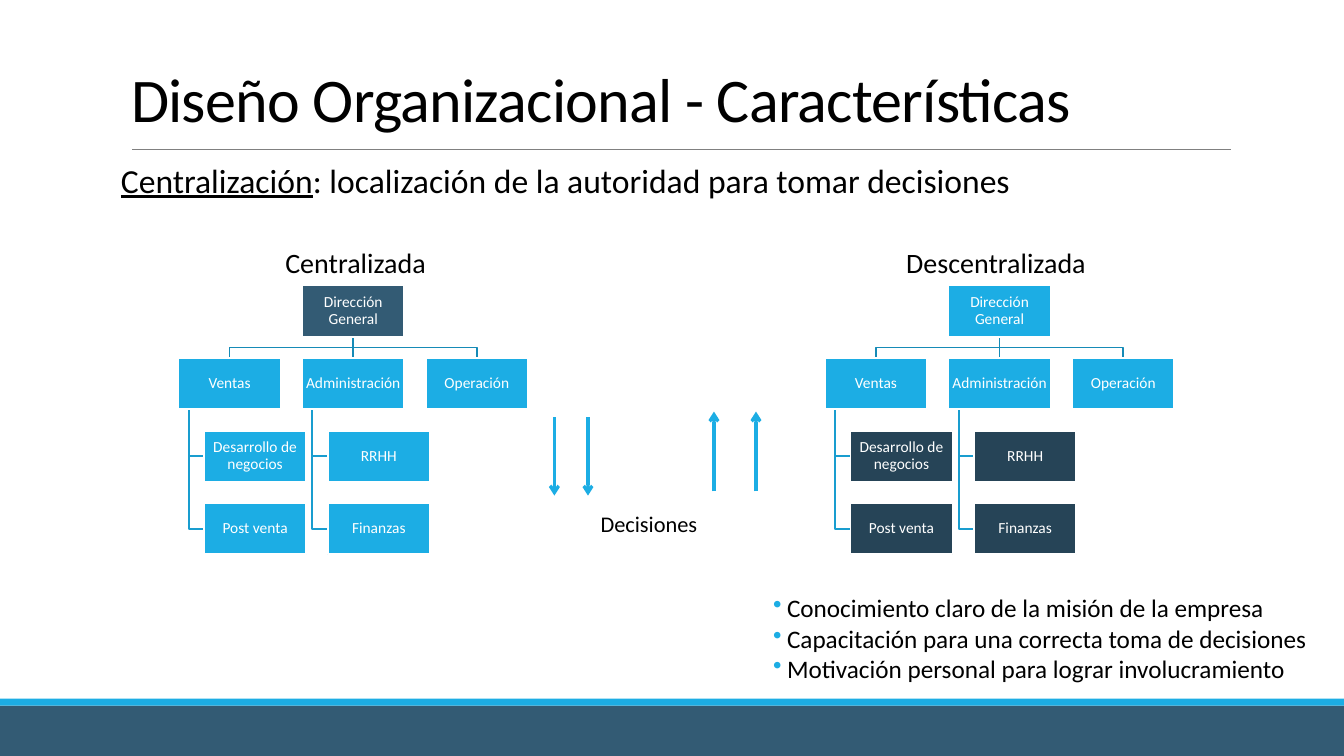
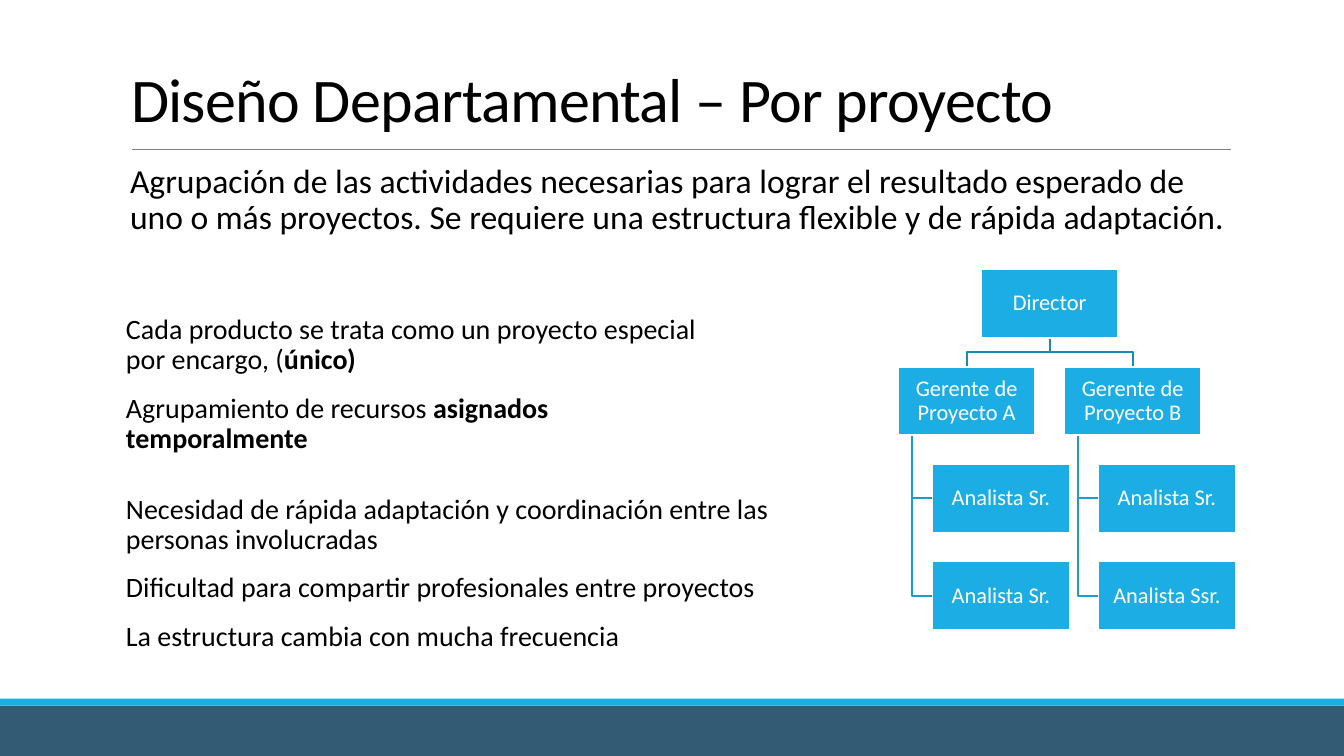
"""Build two slides on organisational design, with org charts drawn by rule."""
from dataclasses import dataclass

from lxml.etree import SubElement
from pptx import Presentation
from pptx.dml.color import RGBColor
from pptx.enum.shapes import MSO_CONNECTOR, MSO_SHAPE
from pptx.enum.text import MSO_ANCHOR as Anchor, MSO_AUTO_SIZE as AutoSize, PP_ALIGN as Align
from pptx.oxml.ns import qn
from pptx.util import Pt


@dataclass(frozen=True)
class Theme:
    font: str = "Calibri"
    text: str = "000000"
    white: str = "FFFFFF"
    accent: str = "1CADE4"
    navy: str = "335B74"
    dark: str = "264457"
    rule: str = "808080"
    trunk: str = "168BB7"
    branch: str = "199DCF"
    title: float = 44.3
    lead: float = 24
    large: float = 20
    medium: float = 18
    small: float = 16
    tiny: float = 11


THEME = Theme()
SLIDE_SIZE = (960, 540)
TITLE_BOX = (86.4, 22.3, 792, 77.8)
BANDS = [((0, 504, 960, 36), THEME.navy), ((0, 499, 960, 5), THEME.accent)]
TITLE_RULE = ((94.5, 106.5), (879, 106.5))

DEPARTMENTS = [
    ("Ventas", ["Desarrollo de negocios", "Post venta"]),
    ("Administración", ["RRHH", "Finanzas"]),
    ("Operación", []),
]
PROJECTS = [
    ("Gerente de Proyecto A", ["Analista Sr.", "Analista Sr."]),
    ("Gerente de Proyecto B", ["Analista Sr.", "Analista Ssr."]),
]

SLIDES = [
    {
        "title": "Diseño Organizacional - Características",
        "body": [[("Centralización", "u"), (": localización de la autoridad para tomar decisiones", "")]],
        "body_box": (86.4, 113.8, 792, 42.5),
        "body_indent": 0,
        "charts": [
            {"root": "Dirección General", "managers": DEPARTMENTS, "at": (127.5, 204), "box": 73,
             "size": THEME.tiny, "fills": (THEME.navy, THEME.accent, THEME.accent)},
            {"root": "Dirección General", "managers": DEPARTMENTS, "at": (589.2, 204), "box": 73,
             "size": THEME.tiny, "fills": (THEME.accent, THEME.accent, THEME.dark)},
        ],
        "texts": [
            ((429, 363, 99, 21), THEME.small, ["Decisiones"]),
            ((203.8, 174.2, 139, 42.5), THEME.large, ["Centralizada"]),
            ((647.3, 174.2, 139, 42.5), THEME.large, ["Descentralizada"]),
        ],
        "bullets": ((552.2, 419.8, 407.8, 77.8), [
            "Conocimiento claro de la misión de la empresa",
            "Capacitación para una correcta toma de decisiones",
            "Motivación personal para lograr involucramiento",
        ]),
        "arrows": [(396, 298, 354), (420, 298, 354), (510, 351, 294), (540, 351, 294)],
    },
    {
        "title": "Diseño Departamental – Por proyecto",
        "body": ["Agrupación de las actividades necesarias para lograr el resultado esperado de "
                 "uno o más proyectos. Se requiere una estructura flexible y de rápida adaptación."],
        "body_box": (86.4, 113.8, 792, 102),
        "body_indent": 6.5,
        "charts": [
            {"root": "Director", "managers": PROJECTS, "at": (641.5, 192.3), "box": 98,
             "size": THEME.small, "fills": (THEME.accent,) * 3},
        ],
        "texts": [
            ((90, 221.8, 420, 82), THEME.large, [
                [("Cada producto se trata como un proyecto especial por encargo, (", ""), ("único)", "b")],
                [("Agrupamiento de recursos ", ""), ("asignados temporalmente", "b")],
            ]),
            ((90, 350, 498, 82), THEME.large, [
                "Necesidad de rápida adaptación y coordinación entre las personas involucradas",
                "Dificultad para compartir profesionales entre proyectos",
                "La estructura cambia con mucha frecuencia",
            ]),
        ],
    },
]


def points(values):
    return [Pt(value) for value in values]


def place(shape, box):
    shape.left, shape.top, shape.width, shape.height = points(box)


def write(frame, paragraphs, size, color=THEME.text, align=Align.LEFT, anchor=Anchor.TOP,
          insets=(0, 3.6), spacing=0.9, around=(11.1, 1.9), indent=0, bullet=None, tracking=0):
    frame.word_wrap = True
    frame.auto_size = AutoSize.NONE
    frame.vertical_anchor = anchor
    frame.margin_left = frame.margin_right = Pt(insets[0])
    frame.margin_top = frame.margin_bottom = Pt(insets[1])
    for index, content in enumerate(paragraphs):
        paragraph = frame.add_paragraph() if index else frame.paragraphs[0]
        properties = paragraph._p.get_or_add_pPr()
        properties.set("marL", str(Pt(indent)))
        properties.set("indent", str(-Pt(indent) if bullet else 0))
        if bullet:
            bullet_color = SubElement(properties, qn("a:buClr"))
            SubElement(bullet_color, qn("a:srgbClr"), val=THEME.accent)
            SubElement(properties, qn("a:buChar"), char=bullet)
        else:
            SubElement(properties, qn("a:buNone"))
        paragraph.alignment = align
        paragraph.line_spacing = spacing
        paragraph.space_before, paragraph.space_after = points(around)
        paragraph.font.name = THEME.font
        paragraph.font.size = Pt(size)
        paragraph.font.color.rgb = RGBColor.from_string(color)
        if tracking:
            properties.get_or_add_defRPr().set("spc", str(round(tracking * 100)))
        for text, style in [(content, "")] if isinstance(content, str) else content:
            run = paragraph.add_run()
            run.text = text
            if style == "b":
                run.font.bold = True
            elif style == "u":
                run.font.underline = True


def add_text(slide, box, *content, **style):
    write(slide.shapes.add_textbox(*points(box)).text_frame, *content, **style)


def add_box(slide, box, fill, outline=None):
    shape = slide.shapes.add_shape(MSO_SHAPE.RECTANGLE, *points(box))
    shape.shadow.inherit = False
    shape.fill.solid()
    shape.fill.fore_color.rgb = RGBColor.from_string(fill)
    if outline:
        shape.line.color.rgb = RGBColor.from_string(outline)
        shape.line.width = Pt(1.25)
    else:
        shape.line.fill.background()
    return shape


def add_line(slide, start, end, color, width, arrow=False):
    line = slide.shapes.add_connector(MSO_CONNECTOR.STRAIGHT, *points(start + end))
    line.line.color.rgb = RGBColor.from_string(color)
    line.line.width = Pt(width)
    if arrow:
        SubElement(line.line._get_or_add_ln(), qn("a:tailEnd"), type="arrow")
    SubElement(line.element.spPr, qn("a:effectLst"))
    return line


def add_elbow(slide, corners, color):
    start, *others = [tuple(points(corner)) for corner in corners]
    builder = slide.shapes.build_freeform(*start)
    builder.add_line_segments(others, close=False)
    elbow = builder.convert_to_shape()
    elbow.shadow.inherit = False
    elbow.fill.background()
    elbow.line.color.rgb = RGBColor.from_string(color)
    elbow.line.width = Pt(1.25)


def add_org_chart(slide, root, managers, at, box, size, fills):
    left, top = at
    height, gap = box / 2, box * 0.21
    column, row = box + gap, height + gap
    center = left + ((len(managers) - 1) * column + box) / 2
    root_bottom, manager_top = top + height, top + row
    middle = root_bottom + gap / 2
    boxes = [(root, center - box / 2, top, fills[0])]
    for index, (manager, reports) in enumerate(managers):
        x = left + index * column
        target = x + box / 2
        boxes.append((manager, x, manager_top, fills[1]))
        if abs(target - center) < 0.01:
            add_line(slide, (center, root_bottom), (center, manager_top), THEME.trunk, 1.25)
        else:
            add_elbow(slide, [(center, root_bottom), (center, middle),
                              (target, middle), (target, manager_top)], THEME.trunk)
        stem, report_left = x + box * 0.1, x + box * 0.25
        for level, report in enumerate(reports, start=2):
            y = top + level * row
            boxes.append((report, report_left, y, fills[2]))
            add_elbow(slide, [(stem, manager_top + height), (stem, y + height / 2),
                              (report_left, y + height / 2)], THEME.branch)
    for label, x, y, fill in boxes:
        shape = add_box(slide, (x, y, box, height), fill, THEME.white)
        write(shape.text_frame, [label], size, THEME.white, Align.CENTER, Anchor.MIDDLE,
              insets=(0.7, 0.7), around=(0, 0))


def furnish_layout(layout, slide):
    place(layout.placeholders[0], TITLE_BOX)
    parts = [add_box(slide, box, fill) for box, fill in BANDS]
    parts.append(add_line(slide, *TITLE_RULE, THEME.rule, 0.5))
    for number, part in enumerate(parts, start=101):
        part.element.xpath(".//p:cNvPr")[0].set("id", str(number))
        layout.shapes.element.append(part.element)


def fill_slide(slide, content):
    write(slide.shapes.title.text_frame, [content["title"]], THEME.title, anchor=Anchor.BOTTOM,
          insets=(7.2, 3.6), spacing=0.85, around=(0, 0), tracking=-0.5)
    body = slide.placeholders[1]
    place(body, content["body_box"])
    write(body.text_frame, content["body"], THEME.lead, indent=content["body_indent"])
    for chart in content["charts"]:
        add_org_chart(slide, **chart)
    for box, size, paragraphs in content["texts"]:
        add_text(slide, box, paragraphs, size)
    if "bullets" in content:
        box, items = content["bullets"]
        add_text(slide, box, items, THEME.medium, spacing=1, around=(0, 0), indent=10, bullet="•")
    for x, start, end in content.get("arrows", []):
        add_line(slide, (x, start), (x, end), THEME.accent, 2.25, arrow=True)


def main():
    presentation = Presentation()
    presentation.slide_width, presentation.slide_height = points(SLIDE_SIZE)
    layout = presentation.slide_layouts[1]
    slides = [presentation.slides.add_slide(layout) for _ in SLIDES]
    furnish_layout(layout, slides[0])
    for slide, content in zip(slides, SLIDES):
        fill_slide(slide, content)
    presentation.save("out.pptx")


if __name__ == "__main__":
    main()
